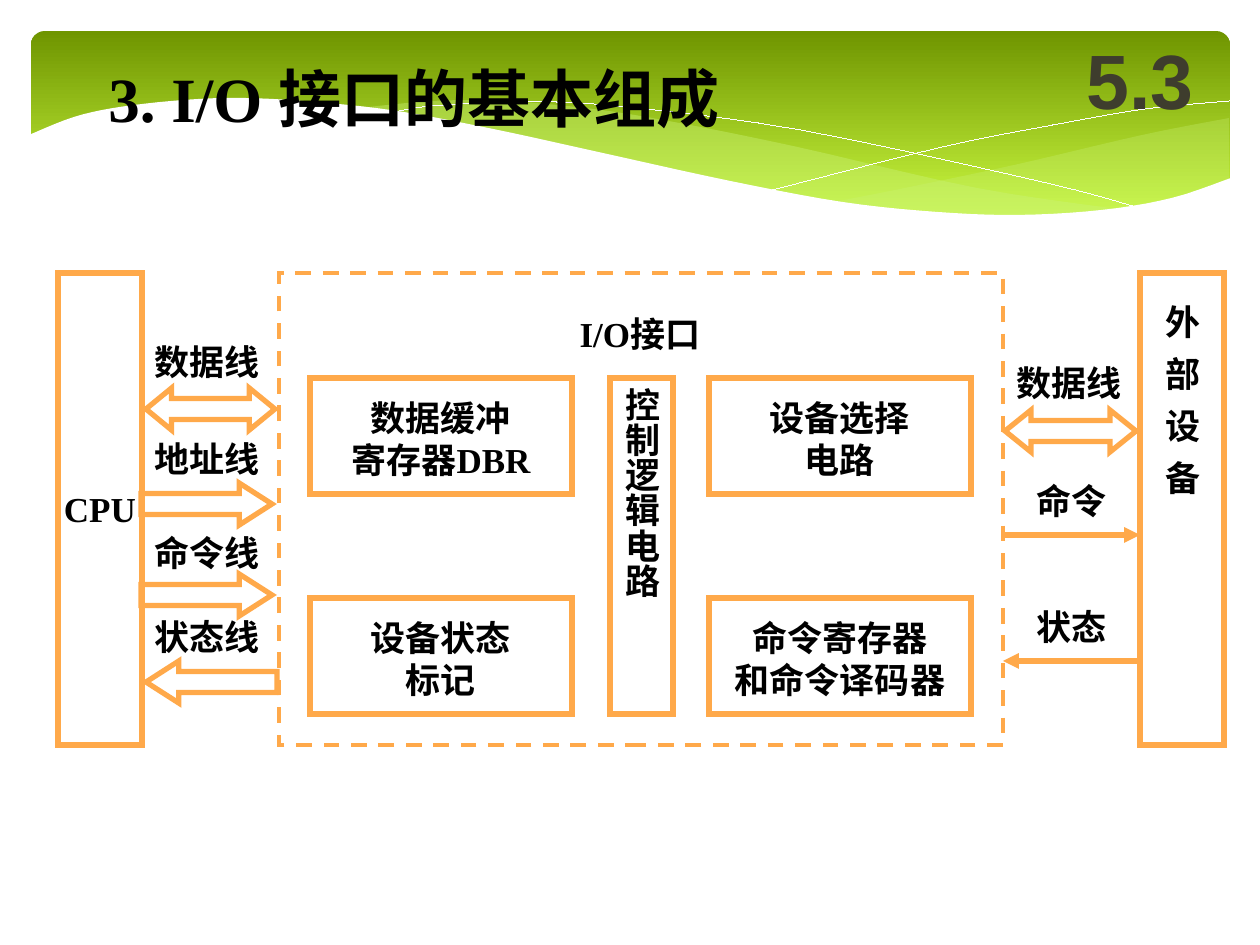
import dataclasses
from typing import NamedTuple

import lxml.etree
import pptx
import pptx.dml.color
import pptx.enum.dml
import pptx.enum.shapes
import pptx.enum.text
import pptx.oxml.ns
import pptx.util

Kind = pptx.enum.shapes.MSO_SHAPE
Align = pptx.enum.text.PP_ALIGN
Anchor = pptx.enum.text.MSO_ANCHOR
Dash = pptx.enum.dml.MSO_LINE
Pt = pptx.util.Pt
qn = pptx.oxml.ns.qn
SCALE = 914400 / 126


def px(n: float) -> int:
    return round(n * SCALE)


def rgb(code: str):
    return pptx.dml.color.RGBColor.from_string(code)


@dataclasses.dataclass(frozen=True)
class Theme:
    ink: str = "000000"
    grey: str = "3E3D2D"
    edge: str = "FFA94A"
    dark: str = "6F9500"
    light: str = "D0FF44"
    wave: str = "CAF278"
    white: str = "FFFFFF"
    serif: str = "Times New Roman"
    sans: str = "Arial"
    body: int = 20
    title: int = 36
    number: int = 44
    thick: float = 3
    thin: float = 2.25
    hair: float = 0.01


class Rect(NamedTuple):
    x: int
    y: int
    w: int
    h: int


class Box(NamedTuple):
    at: Rect
    text: str = ""
    drop: int = 0
    upright: bool = False
    gap: int = 0
    dash: bool = False


class Label(NamedTuple):
    at: Rect
    text: str
    size: int
    face: str
    color: str
    align: object = Align.CENTER


class Arrow(NamedTuple):
    at: Rect
    kind: object
    head: float
    turn: int = 0


class Wave(NamedTuple):
    curves: list
    color: str
    alpha: int = 100


T = Theme()


def put(item, values: dict) -> None:
    for name, value in values.items():
        setattr(item, name, value)


def write(shape, text: str, size: int, face: str, color: str, align) -> None:
    frame = shape.text_frame
    put(frame, {"word_wrap": True, "text": text, "vertical_anchor": Anchor.MIDDLE})
    for para in frame.paragraphs:
        para.alignment = align
        put(para.runs[0].font, {"size": Pt(size), "name": face, "bold": True})
        para.runs[0].font.color.rgb = rgb(color)


def outline(line, color: str, width: float) -> None:
    line.color.rgb = rgb(color)
    line.width = Pt(width)
    join = lxml.etree.SubElement(line._get_or_add_ln(), qn("a:miter"))
    join.set("lim", "800000")


def add_shape(slide, kind, at: Rect):
    shape = slide.shapes.add_shape(kind, *map(px, at))
    shape.shadow.inherit = False
    return shape


def add_box(slide, box: Box) -> None:
    shape = add_shape(slide, Kind.RECTANGLE, box.at)
    shape.fill.background()
    outline(shape.line, T.edge, T.thin if box.dash else T.thick)
    if box.dash:
        shape.line.dash_style = Dash.DASH
    if not box.text:
        return
    write(shape, box.text, T.body, T.serif, T.ink, Align.CENTER)
    put(shape.text_frame, {"margin_left": 0, "margin_right": 0,
                           "margin_top": px(box.drop), "margin_bottom": 0})
    if box.upright:
        shape.text_frame._txBody.bodyPr.set("vert", "eaVert")
    if box.gap:
        run = shape.text_frame.paragraphs[0].runs[0]
        run.font._element.set("spc", str(box.gap))


def add_label(slide, label: Label) -> None:
    shape = slide.shapes.add_textbox(*map(px, label.at))
    write(shape, *label[1:])


def add_arrow(slide, arrow: Arrow) -> None:
    shape = add_shape(slide, arrow.kind, arrow.at)
    shape.fill.background()
    outline(shape.line, T.edge, T.thick)
    shape.adjustments[1] = arrow.head
    shape.rotation = arrow.turn


def add_wire(slide, start: int, end: int, y: int) -> None:
    wire = slide.shapes.add_connector(
        pptx.enum.shapes.MSO_CONNECTOR.STRAIGHT, px(start), px(y), px(end), px(y))
    outline(wire.line, T.edge, T.thick)
    tail = lxml.etree.SubElement(wire.line._get_or_add_ln(), qn("a:tailEnd"))
    tail.set("type", "triangle")
    lxml.etree.SubElement(wire._element.spPr, qn("a:effectLst"))


def curve(dots: list, steps: int = 5) -> list:
    """Smooth path through the dots (Catmull-Rom)."""
    ends = [dots[0], *dots, dots[-1]]
    out = [dots[0]]
    for a, b, c, d in zip(ends, ends[1:], ends[2:], ends[3:]):
        for i in range(1, steps + 1):
            t = i / steps
            out.append(tuple(
                (2 * q + (r - p) * t + (2 * p - 5 * q + 4 * r - s) * t ** 2
                 + (3 * q - p - 3 * r + s) * t ** 3) / 2
                for p, q, r, s in zip(a, b, c, d)))
    return out


def trace(slide, dots: list, close: bool):
    first, *rest = [(px(x), px(y)) for x, y in dots]
    pen = slide.shapes.build_freeform(*first)
    pen.add_line_segments(rest, close=close)
    shape = pen.convert_to_shape()
    shape.shadow.inherit = False
    return shape


def add_wave(slide, wave: Wave) -> None:
    shape = trace(slide, sum((curve(part) for part in wave.curves), []), True)
    shape.fill.solid()
    shape.fill.fore_color.rgb = rgb(wave.color)
    shape.line.fill.background()
    if wave.alpha < 100:
        tint = shape._element.spPr.find(".//" + qn("a:srgbClr"))
        lxml.etree.SubElement(tint, qn("a:alpha")).set("val", str(wave.alpha * 1000))


def add_thread(slide, dots: list) -> None:
    shape = trace(slide, curve(dots), False)
    shape.fill.background()
    outline(shape.line, T.white, T.hair)


def add_banner(slide) -> None:
    shape = add_shape(slide, Kind.ROUNDED_RECTANGLE, Rect(31, 31, 1199, 197))
    shape.adjustments[0] = 0.07
    shape.fill.gradient()
    shape.fill.gradient_angle = 270
    for stop, color, place in zip(shape.fill.gradient_stops, (T.dark, T.light), (0, 1)):
        stop.color.rgb = rgb(color)
        stop.position = place
    shape.line.fill.background()


# Banner waves, back to front
TINTS = [
    Wave([[(1229, 118), (1142, 135), (1014, 165), (890, 191), (833, 202)],
          [(833, 202), (954, 213), (1012, 217), (1075, 215), (1160, 202), (1229, 179)]],
         T.wave, 29),
    Wave([[(1125, 210), (977, 188), (793, 146), (663, 120), (585, 108), (503, 101),
           (433, 101), (360, 108)],
          [(360, 108), (509, 134), (713, 180), (876, 208), (1003, 218), (1125, 210)]],
         T.wave, 40),
]
THREADS = [
    [(389, 113), (432, 106), (524, 102), (616, 106), (801, 130), (1047, 183), (1143, 209)],
    [(772, 190), (942, 147), (1053, 125), (1145, 109), (1229, 101)],
]
COVER = Wave([[(1231, 178), (1172, 198), (1102, 210), (1019, 215), (937, 212), (842, 202),
               (730, 181), (598, 152), (493, 129), (397, 111), (315, 102), (243, 98),
               (184, 100), (120, 107), (74, 117), (29, 135)],
              [(29, 282), (1231, 282)]], T.white)

# Diagram parts
COLS, ROWS = (310, 709), (378, 598)
CARDS = [["数据缓冲\n寄存器DBR", "设备选择\n电路"],
         ["设备状态\n标记", "命令寄存器\n和命令译码器"]]
BOXES = [Box(Rect(x, y, 262, 116), text, 6)
         for y, row in zip(ROWS, CARDS) for x, text in zip(COLS, row)]
BOXES += [
    Box(Rect(610, 378, 63, 336), "控制逻辑电路", 10, upright=True),
    Box(Rect(279, 273, 724, 472), dash=True),
    Box(Rect(1140, 273, 84, 472), "外部设备", 32, upright=True, gap=970),
    Box(Rect(58, 273, 84, 472), "CPU"),
]
ARROWS = [
    Arrow(Rect(1005, 410, 131, 42), Kind.LEFT_RIGHT_ARROW, 0.62),
    Arrow(Rect(146, 388, 129, 42), Kind.LEFT_RIGHT_ARROW, 0.61),
    Arrow(Rect(141, 483, 131, 42), Kind.RIGHT_ARROW, 0.78),
    Arrow(Rect(141, 574, 131, 42), Kind.RIGHT_ARROW, 0.78),
    Arrow(Rect(146, 661, 131, 42), Kind.RIGHT_ARROW, 0.78, 180),
]
NAMES = [(142, 334, 130, "数据线"), (142, 431, 130, "地址线"), (142, 525, 130, "命令线"),
         (142, 609, 130, "状态线"), (1004, 355, 130, "数据线"), (1024, 473, 95, "命令"),
         (1024, 599, 95, "状态"), (563, 306, 154, "I/O接口")]
LABELS = [Label(Rect(x, y, w, 55), text, T.body, T.serif, T.ink) for x, y, w, text in NAMES]
LABELS += [
    Label(Rect(96, 53, 760, 88), "3. I/O 接口的基本组成", T.title, T.serif, T.ink, Align.LEFT),
    Label(Rect(1061, 21, 158, 116), "5.3", T.number, T.sans, T.grey),
]


def main() -> None:
    deck = pptx.Presentation()
    put(deck, {"slide_width": px(1260), "slide_height": px(945)})
    slide = deck.slides.add_slide(deck.slide_layouts[6])
    add_banner(slide)
    for draw, items in ((add_wave, TINTS), (add_thread, THREADS), (add_wave, [COVER]),
                        (add_box, BOXES), (add_arrow, ARROWS), (add_label, LABELS)):
        for item in items:
            draw(slide, item)
    add_wire(slide, 1003, 1140, 535)
    add_wire(slide, 1140, 1003, 661)
    deck.save("out.pptx")


if __name__ == "__main__":
    main()
